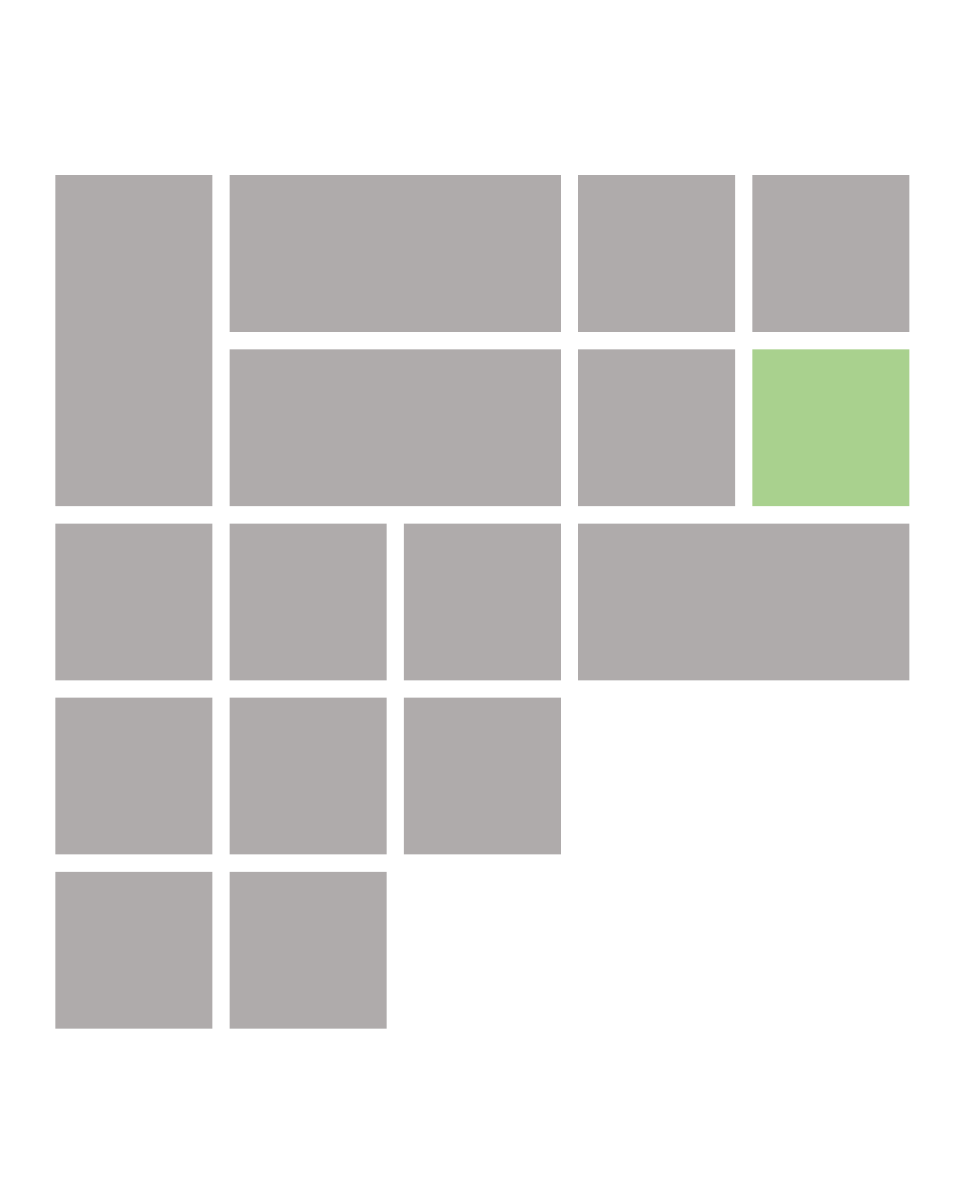
from dataclasses import dataclass

import pptx
import pptx.dml.color
import pptx.enum.shapes
import pptx.util


@dataclass(frozen=True)
class Theme:
    """Colours of the tile wall."""
    tile: str = "AFABAB"
    accent: str = "A9D18E"


THEME = Theme()
WIDTH, HEIGHT = 5.56, 6.94
GRID_SIZE = 5
GAP = 0.1
ACCENT_CELL = (3, 1)
WALL_BOX = (0.32, 1.01, 4.92, 4.92)
TILES = [
    (1, 0, 2, 1), (3, 0, 1, 1), (4, 0, 1, 1), (0, 0, 1, 2),
    (1, 1, 2, 1), (3, 1, 1, 1), (4, 1, 1, 1),
    (0, 2, 1, 1), (1, 2, 1, 1), (2, 2, 1, 1), (3, 2, 2, 1),
    (0, 3, 1, 1), (1, 3, 1, 1), (2, 3, 1, 1),
    (0, 4, 1, 1), (1, 4, 1, 1),
]
ACCENT_CELL = (4, 1)


def add_tile(page, left, top, width, height, colour):
    """Add one flat rectangle, measured in inches."""
    tile = page.shapes.add_shape(
        pptx.enum.shapes.MSO_SHAPE.RECTANGLE,
        *(pptx.util.Inches(length) for length in (left, top, width, height)))
    tile.shadow.inherit = False
    tile.fill.solid()
    tile.fill.fore_color.rgb = pptx.dml.color.RGBColor.from_string(colour)
    tile.line.fill.background()


def add_tile_wall(page, box):
    """Lay the tiles on a square grid inside the box."""
    left, top, width, height = box
    column_step = (width + GAP) / GRID_SIZE
    row_step = (height + GAP) / GRID_SIZE
    for column, row, columns, rows in TILES:
        colour = THEME.accent if (column, row) == ACCENT_CELL else THEME.tile
        add_tile(page, left + column * column_step, top + row * row_step,
                 columns * column_step - GAP, rows * row_step - GAP, colour)


def main():
    """Build the slide and save the deck."""
    deck = pptx.Presentation()
    deck.slide_width = pptx.util.Inches(WIDTH)
    deck.slide_height = pptx.util.Inches(HEIGHT)
    page = deck.slides.add_slide(deck.slide_layouts[6])
    add_tile_wall(page, WALL_BOX)
    deck.save("out.pptx")


if __name__ == "__main__":
    main()
